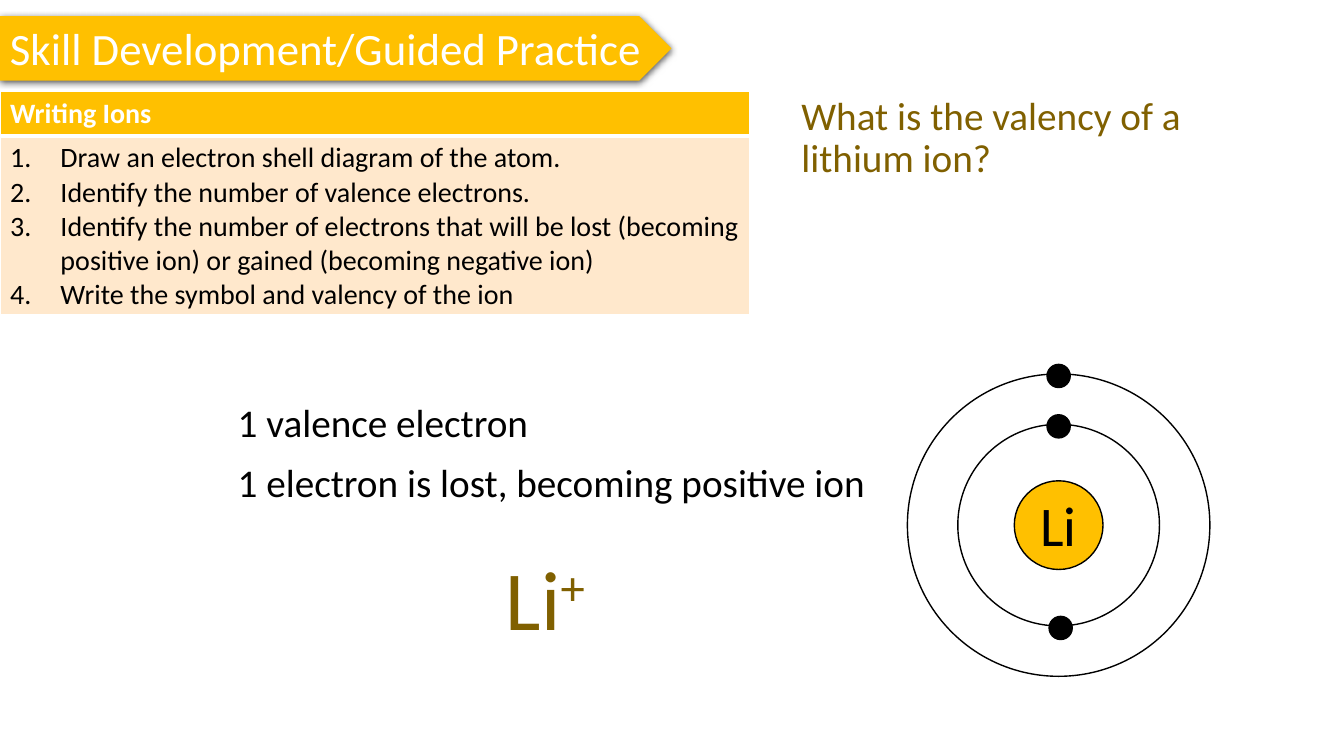
from lxml import etree
from pptx import Presentation
from pptx.dml.color import RGBColor
from pptx.enum.shapes import MSO_SHAPE
from pptx.enum.text import MSO_ANCHOR, PP_ALIGN
from pptx.oxml import parse_xml
from pptx.oxml.ns import qn
from pptx.util import Inches, Pt

PENTAGON = MSO_SHAPE.PENTAGON
OVAL = MSO_SHAPE.OVAL
LEFT = PP_ALIGN.LEFT
TOP = MSO_ANCHOR.TOP

COLOURS = {
    "gold": "FFC000",
    "peach": "FFE8CC",
    "brown": "806000",
    "black": "000000",
    "white": "FFFFFF",
}
DRAWING_NS = 'xmlns:a="http://schemas.openxmlformats.org/drawingml/2006/main"'


def colour(name):
    return RGBColor.from_string(COLOURS[name])


def write_text(frame, text, font="Calibri", size=28, ink="black", bold=False,
               wrap=True, line_spacing=None, space_after=None, numbered=False):
    """Write one paragraph per line; what follows ^ is superscript."""
    frame.word_wrap = wrap
    frame.vertical_anchor = TOP
    for index, line in enumerate(text.split("\n")):
        para = frame.paragraphs[0] if index == 0 else frame.add_paragraph()
        para.alignment = LEFT
        if numbered:
            properties = para._p.get_or_add_pPr()
            properties.set("marL", str(Inches(0.5)))
            properties.set("indent", str(Inches(-0.5)))
            etree.SubElement(properties, qn("a:buFont"), typeface="+mj-lt")
            etree.SubElement(properties, qn("a:buAutoNum"), type="arabicPeriod")
        if line_spacing:
            para.line_spacing = line_spacing
        if space_after:
            para.space_after = Pt(space_after)
        for level, part in enumerate(line.split("^")):
            span = para.add_run()
            span.text = part
            span.font.name = font
            span.font.size = Pt(size)
            span.font.bold = bold
            span.font.color.rgb = colour(ink)
            if level:
                span._r.get_or_add_rPr().set("baseline", "30000")


class SlideBuilder:
    def __init__(self, page):
        self.page = page
        self.shapes = page.shapes
        self.body = {"line_spacing": 0.9, "space_after": 12}

    def text(self, left, top, width, height, text, **style):
        box = self.shapes.add_textbox(
            Inches(left), Inches(top), Inches(width), Inches(height))
        write_text(box.text_frame, text, **style)
        return box

    def shape(self, kind, left, top, width, height, fill=None, line=None):
        shape = self.shapes.add_shape(
            kind, Inches(left), Inches(top), Inches(width), Inches(height))
        shape.shadow.inherit = False
        if fill:
            shape.fill.solid()
            shape.fill.fore_color.rgb = colour(fill)
        else:
            shape.fill.background()
        if line:
            shape.line.color.rgb = colour(line)
            shape.line.width = Pt(1)
        else:
            shape.line.fill.background()
        return shape

    def circle(self, centre_x, centre_y, diameter, fill=None):
        radius = diameter / 2
        return self.shape(OVAL, centre_x - radius, centre_y - radius,
                          diameter, diameter, fill, "black")

    def banner(self, left, top, width, height, text):
        banner = self.shape(PENTAGON, left, top, width, height, "gold")
        effects = banner._element.spPr.find(qn("a:effectLst"))
        effects.append(parse_xml(
            f'<a:outerShdw {DRAWING_NS} blurRad="{Pt(4.5)}" dist="{Pt(1.5)}" '
            f'dir="5400000" algn="t" rotWithShape="0">'
            f'<a:srgbClr val="{COLOURS["black"]}"><a:alpha val="63000"/>'
            f'</a:srgbClr></a:outerShdw>'))
        write_text(banner.text_frame, text, size=32, ink="white", wrap=False)

    def cell(self, cell, text, fill, borders, **style):
        properties = cell._tc.get_or_add_tcPr()
        for side, width in borders.items():
            properties.append(parse_xml(
                f'<a:ln{side} {DRAWING_NS} w="{Pt(width)}"><a:solidFill>'
                f'<a:srgbClr val="{COLOURS["white"]}"/></a:solidFill></a:ln{side}>'))
        cell.fill.solid()
        cell.fill.fore_color.rgb = colour(fill)
        write_text(cell.text_frame, text, size=20, **style)

    def steps_table(self, left, top, width, row_heights, heading, steps):
        table = self.shapes.add_table(
            2, 1, Inches(left), Inches(top), Inches(width),
            Inches(sum(row_heights))).table
        table.columns[0].width = Inches(width)
        for row, height in zip(table.rows, row_heights):
            row.height = Inches(height)
        self.cell(table.cell(0, 0), heading, "gold",
                  {"L": 1, "R": 1, "T": 1, "B": 3}, ink="white", bold=True)
        self.cell(table.cell(1, 0), steps, "peach",
                  {"L": 1, "R": 1, "T": 3, "B": 1}, numbered=True)

    def atom(self, centre_x, centre_y, symbol, shells, electrons):
        self.shapes = self.page.shapes.add_group_shape().shapes
        self.circle(centre_x, centre_y, 0.88, "gold")
        self.text(centre_x - 0.28, centre_y - 0.39, 0.57, 0.77, symbol,
                  size=40, wrap=False)
        for diameter in shells:
            self.circle(centre_x, centre_y, diameter)
        for offset_x, offset_y in electrons:
            self.circle(centre_x + offset_x, centre_y + offset_y, 0.23, "black")
        self.shapes = self.page.shapes


def main():
    deck = Presentation()
    deck.slide_width, deck.slide_height = Inches(13.33), Inches(7.5)
    builder = SlideBuilder(deck.slides.add_slide(deck.slide_layouts[6]))

    # Title banner
    builder.banner(0, 0.16, 6.66, 0.64, "Skill Development/Guided Practice")

    # Worked answer
    builder.text(2.26, 3.96, 6.53, 1.34,
                 "1 valence electron\n1 electron is lost, becoming positive ion",
                 **builder.body)

    # Steps to follow
    builder.steps_table(
        0, 0.91, 7.43, (0.44, 1.77), "Writing Ions",
        "Draw an electron shell diagram of the atom.\n"
        "Identify the number of valence electrons.\n"
        "Identify the number of electrons that will be lost (becoming positive "
        "ion) or gained (becoming negative ion)\n"
        "Write the symbol and valency of the ion")

    # Lithium electron shells
    builder.atom(10.5, 5.21, "Li", shells=(3, 2),
                 electrons=((0, -1.48), (0, -0.98), (0.02, 1.02)))

    # Ion symbol and question
    builder.text(4.92, 5.49, 1.21, 0.86, "Li^+", size=60, ink="brown",
                 **builder.body)
    builder.text(7.85, 0.91, 4.22, 0.86, "What is the valency of a lithium ion?",
                 ink="brown", **builder.body)

    deck.save("out.pptx")


if __name__ == "__main__":
    main()
